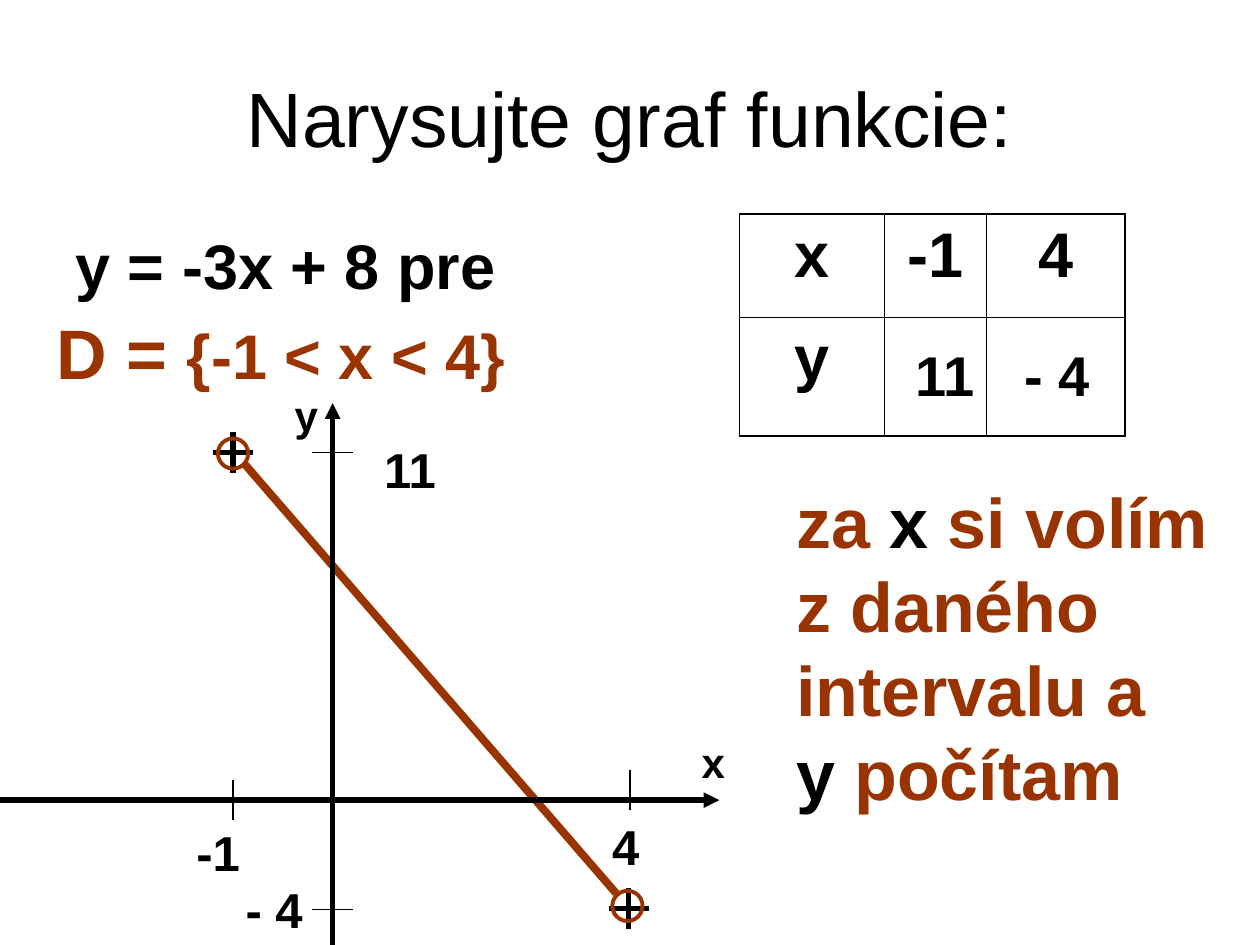
from lxml import etree
from pptx import Presentation
from pptx.dml.color import RGBColor
from pptx.enum import shapes, text
from pptx.oxml import ns
from pptx.util import Inches, Pt

BLACK = RGBColor(0x00, 0x00, 0x00)
BROWN = RGBColor(0x99, 0x33, 0x00)

presentation = Presentation()
presentation.slide_width = Inches(10)
presentation.slide_height = Inches(7.5)
slide = presentation.slides.add_slide(presentation.slide_layouts[6])


def add_text(left, top, width, height, size, runs, bold=True):
    """Add a one-paragraph text box; runs are (words, colour) pairs, None breaks the line."""
    box = slide.shapes.add_textbox(Inches(left), Inches(top), Inches(width), Inches(height))
    box.text_frame.word_wrap = True
    paragraph = box.text_frame.paragraphs[0]
    paragraph.font.name = "Arial"
    paragraph.font.size = Pt(size)
    paragraph.font.bold = bold
    for item in runs:
        if item is None:
            paragraph.add_line_break()
            continue
        run = paragraph.add_run()
        run.text, run.font.color.rgb = item
    return box


def add_line(start, end, width, color=BLACK, arrow=False):
    line = slide.shapes.add_connector(
        shapes.MSO_CONNECTOR.STRAIGHT, *(Inches(value) for value in (*start, *end)))
    line.line.color.rgb = color
    line.line.width = Pt(width)
    if arrow:
        etree.SubElement(line.line._get_or_add_ln(), ns.qn("a:tailEnd"), type="triangle")
    etree.SubElement(line._element.spPr, ns.qn("a:effectLst"))


# Title and function
title = add_text(0.5, 0.3, 9, 1.25, 44, [("Narysujte graf funkcie:", BLACK)], bold=False)
title.text_frame.vertical_anchor = text.MSO_ANCHOR.MIDDLE
title.text_frame.paragraphs[0].alignment = text.PP_ALIGN.CENTER
add_text(0.5, 1.75, 4.42, 1.13, 36, [("y = -3x + 8 pre", BLACK)])

# Table of values
VALUES = [["x", "-1", "4"], ["y", "", ""]]
COLUMN_WIDTHS = [1.15, 0.81, 1.1]
ROW_HEIGHTS = [0.82, 0.94]
table = slide.shapes.add_table(
    2, 3, Inches(5.87), Inches(1.7), Inches(sum(COLUMN_WIDTHS)), Inches(sum(ROW_HEIGHTS))).table
table.first_row = False
table.horz_banding = False
for column, width in zip(table.columns, COLUMN_WIDTHS):
    column.width = Inches(width)
for row, height in zip(table.rows, ROW_HEIGHTS):
    row.height = Inches(height)
for row_index, row_values in enumerate(VALUES):
    for column_index, value in enumerate(row_values):
        cell = table.cell(row_index, column_index)
        outer_edges = {"lnL": column_index == 0, "lnR": column_index == 2,
                       "lnT": row_index == 0, "lnB": row_index == 1}
        properties = cell._tc.get_or_add_tcPr()
        for tag, is_outer in outer_edges.items():
            border = etree.SubElement(
                properties, ns.qn(f"a:{tag}"), w=str(Pt(1.08 if is_outer else 0.45)))
            fill = etree.SubElement(border, ns.qn("a:solidFill"))
            etree.SubElement(fill, ns.qn("a:srgbClr"), val=str(BLACK))
        cell.fill.background()
        if value:
            cell.text = value
            paragraph = cell.text_frame.paragraphs[0]
            paragraph.alignment = text.PP_ALIGN.CENTER
            paragraph.font.name = "Arial"
            paragraph.font.size = Pt(36)
            paragraph.font.bold = True
            paragraph.font.color.rgb = BLACK

# Graph: end crosses, function line, axes and ticks
TICK = 0.16
AXIS_X, AXIS_Y = 2.64, 6.35
for x, y in [(4.99, 7.21), (1.85, 3.59)]:
    add_line((x - TICK, y), (x + TICK, y), 3)
    add_line((x, y + TICK), (x, y - TICK), 3)
add_line((4.89, 7.09), (1.93, 3.67), 4.5, BROWN)
add_line((0, AXIS_Y), (5.71, AXIS_Y), 3, arrow=True)
add_line((AXIS_X, 7.5), (AXIS_X, 3.2), 3, arrow=True)
for y in (3.59, 7.22):
    add_line((AXIS_X - TICK, y), (AXIS_X + TICK, y), 0.75)
for x, y in [(1.85, AXIS_Y), (5, 6.27)]:
    add_line((x, y - TICK), (x, y + TICK), 0.75)

for label, left, top in [("- 4", 1.85, 6.93), ("-1", 1.46, 6.48),
                         ("4", 4.76, 6.43), ("11", 2.95, 3.44)]:
    add_text(left, top, 0.71, 0.57, 28, [(label, BLACK)])
for label, left, top in [("y", 2.24, 3.04), ("x", 5.47, 5.8)]:
    add_text(left, top, 0.39, 0.5, 24, [(label, BLACK)])

# Explanation, domain and computed values
add_text(6.22, 3.75, 3.78, 2.77, 40, [
    ("za ", BROWN), ("x", BLACK), (" si volím z daného intervalu a", BROWN), None,
    ("y", BLACK), (" počítam", BROWN)])
domain = add_text(0.35, 2.41, 3.95, 0.77, 40, [("D = ", BROWN), ("{-1 < x < 4}", BROWN)])
domain.text_frame.paragraphs[0].runs[1].font.size = Pt(36)
for value, left in [("11", 7.17), ("- 4", 8.03)]:
    add_text(left, 2.65, 0.82, 0.64, 32, [(value, BLACK)])

# Open end points
for left, top in [(1.73, 3.48), (4.86, 7.07)]:
    circle = slide.shapes.add_shape(
        shapes.MSO_SHAPE.OVAL, Inches(left), Inches(top), Inches(0.24), Inches(0.24))
    circle.shadow.inherit = False
    circle.fill.background()
    circle.line.color.rgb = BROWN
    circle.line.width = Pt(2.25)

presentation.save("out.pptx")
